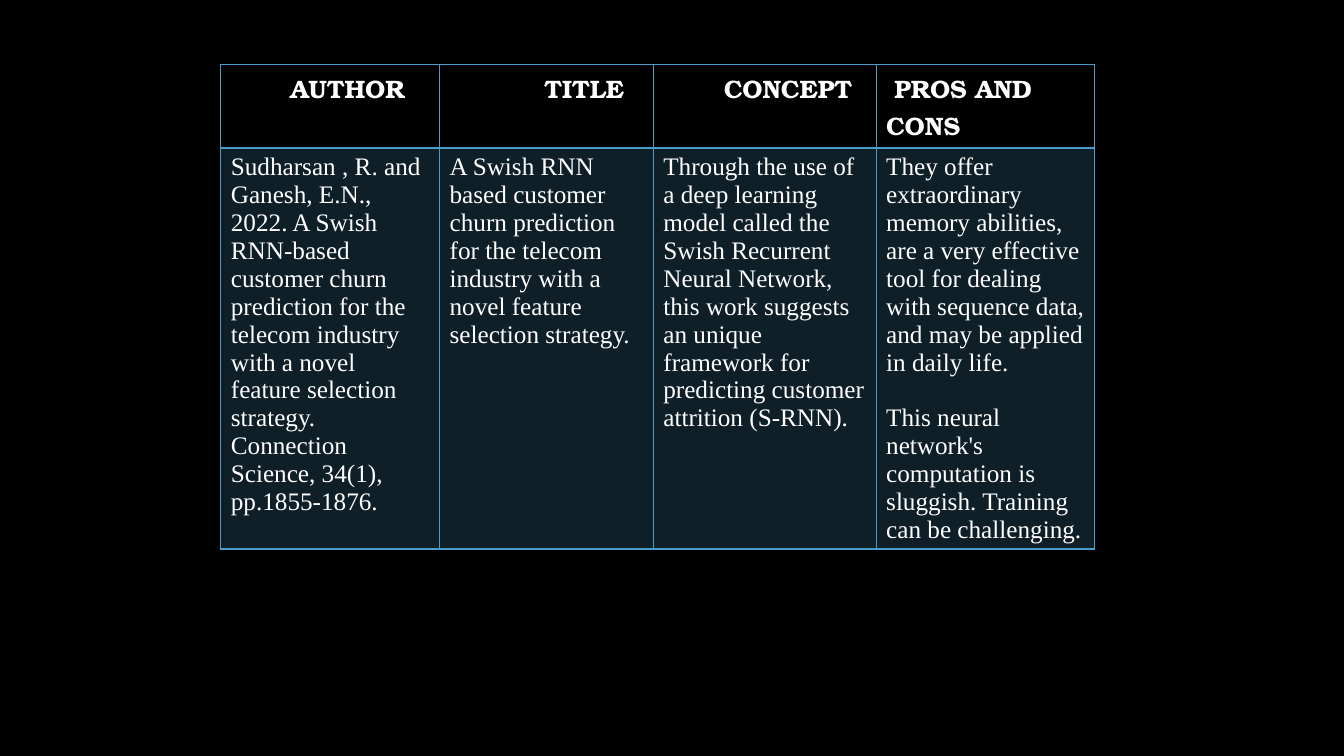
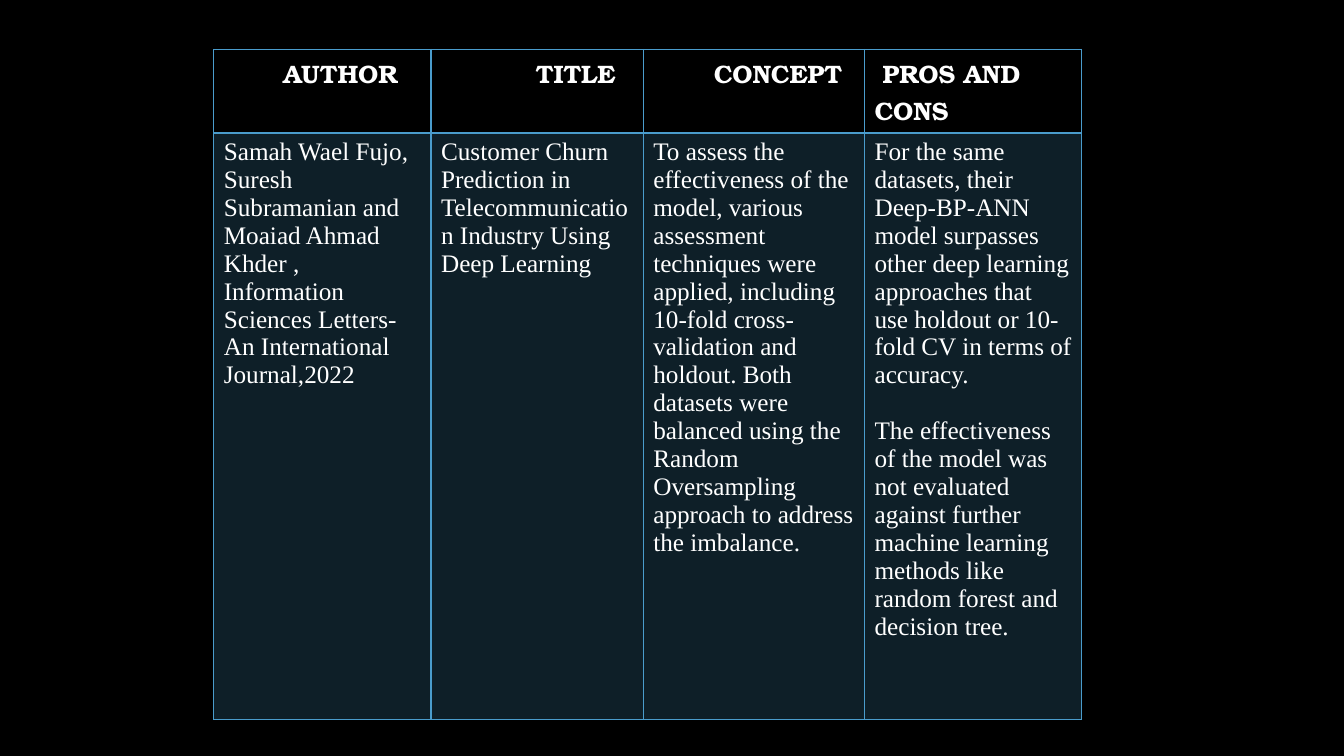
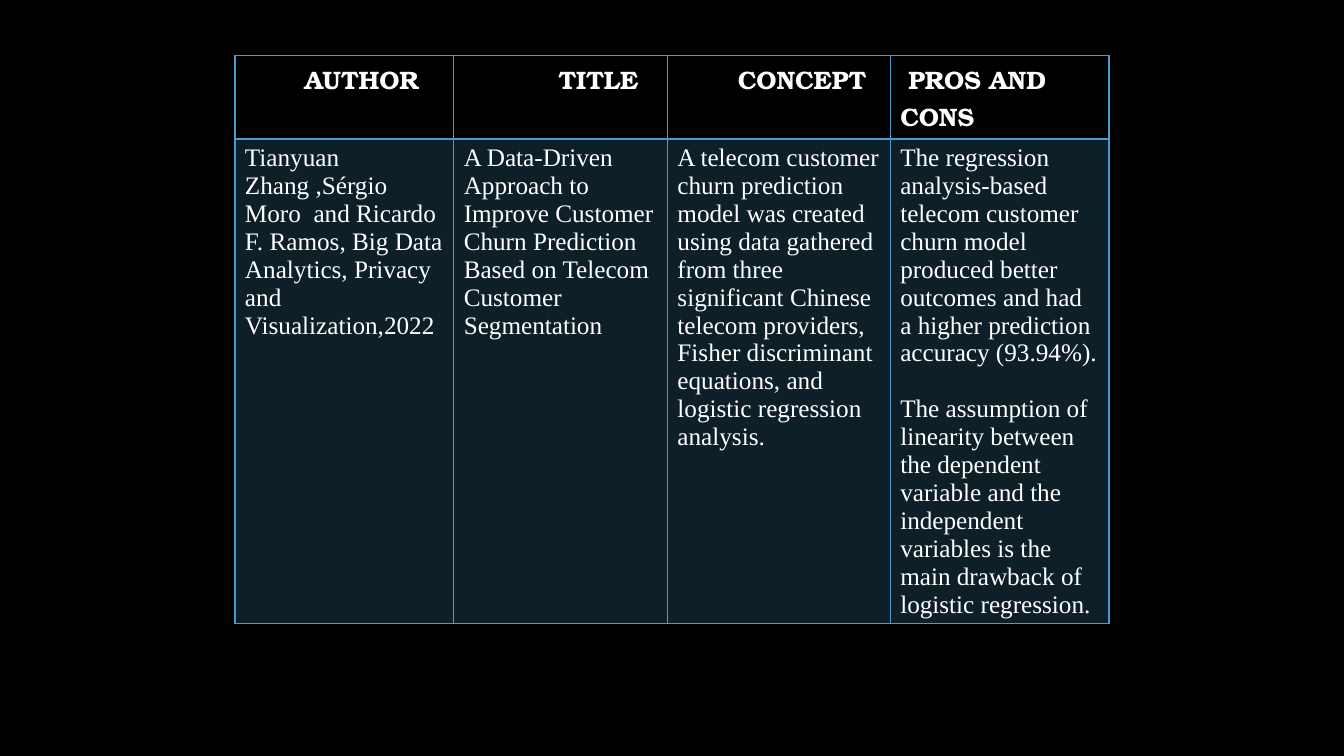
from lxml import etree
from pptx import Presentation
from pptx import util as u
from pptx.dml.color import RGBColor
from pptx.oxml.ns import qn

COLOURS = {"background": "000000", "text": "FFFFFF", "accent": "4A9CCC"}
HEADING_FONT, BODY_FONT = "TeX Gyre Bonum", "Times New Roman"
TEXT_SIZE = u.Pt(18)
PARAGRAPH_GAP = u.Pt(20)
BODY_OPACITY = 20  # per cent
THIN, THICK = 1, 2  # border widths in points

# Heading, first-line indent in inches, column width as a share of the table
COLUMNS = [
    ("AUTHOR", 0.59, 2.17 / 8.67),
    ("TITLE", 0.94, 2.12 / 8.67),
    ("CONCEPT", 0.6, 2.21 / 8.67),
    ("PROS AND CONS", 0.08, 2.17 / 8.67),
]
HEADER_HEIGHT = 0.83

# Each study: table box (left, top, width, height) and one list of paragraphs per column
STUDIES = [
    ((2.19, 0.64, 8.67, 4.8), [
        ["Sudharsan , R. and Ganesh, E.N., 2022. A Swish RNN-based customer churn "
         "prediction for the telecom industry with a novel feature selection strategy. "
         "Connection Science, 34(1), pp.1855-1876."],
        ["A Swish RNN based customer churn prediction for the telecom industry with a "
         "novel feature selection strategy."],
        ["Through the use of a deep learning model called the Swish Recurrent Neural "
         "Network, this work suggests an unique framework for predicting customer "
         "attrition (S-RNN)."],
        ["They offer extraordinary memory abilities, are a very effective tool for "
         "dealing with sequence data, and may be applied in daily life.",
         "This neural network's computation is sluggish. Training can be challenging."],
    ]),
    ((2.12, 0.49, 8.61, 6.65), [
        ["Samah Wael Fujo, Suresh Subramanian and Moaiad Ahmad Khder , Information "
         "Sciences Letters- An International Journal,2022"],
        ["Customer Churn Prediction in Telecommunication Industry Using Deep Learning"],
        ["To assess the effectiveness of the model, various assessment techniques were "
         "applied, including 10-fold cross-validation and holdout. Both datasets were "
         "balanced using the Random Oversampling approach to address the imbalance."],
        ["For the same datasets, their Deep-BP-ANN model surpasses other deep learning "
         "approaches that use holdout or 10-fold CV in terms of accuracy.",
         "The effectiveness of the model was not evaluated against further machine "
         "learning methods like random forest and decision tree."],
    ]),
    ((2.33, 0.55, 8.67, 5.63), [
        ["Tianyuan Zhang ,Sérgio Moro  and Ricardo F. Ramos, Big Data Analytics, "
         "Privacy and Visualization,2022"],
        ["A Data-Driven Approach to Improve Customer Churn Prediction Based on Telecom "
         "Customer Segmentation"],
        ["A telecom customer churn prediction model was created using data gathered from "
         "three significant Chinese telecom providers, Fisher discriminant equations, "
         "and logistic regression analysis."],
        ["The regression analysis-based telecom customer churn model produced better "
         "outcomes and had a higher prediction accuracy (93.94%).",
         "The assumption of linearity between the dependent variable and the independent "
         "variables is the main drawback of logistic regression."],
    ]),
]


def colour(name):
    return RGBColor.from_string(COLOURS[name])


def set_borders(cell, **widths):
    """Draw the four cell borders; widths are points for L, R, T and B."""
    properties = cell._tc.get_or_add_tcPr()
    for position, side in enumerate("LRTB"):
        line = etree.Element(qn(f"a:ln{side}"), w=str(u.Pt(widths.get(side, THIN))))
        fill = etree.SubElement(line, qn("a:solidFill"))
        etree.SubElement(fill, qn("a:srgbClr"), val=COLOURS["accent"])
        properties.insert(position, line)


def fill_cell(cell, name, opacity=100):
    cell.fill.solid()
    cell.fill.fore_color.rgb = colour(name)
    if opacity < 100:
        tint = cell._tc.tcPr.find(".//" + qn("a:srgbClr"))
        etree.SubElement(tint, qn("a:alpha"), val=str(opacity * 1000))


def write_cell(cell, paragraphs, font_name, bold=False, indent=0):
    cell.text = "\n".join(paragraphs)
    for number, paragraph in enumerate(cell.text_frame.paragraphs):
        font = paragraph.font
        font.name, font.size, font.bold = font_name, TEXT_SIZE, bold
        font.color.rgb = colour("text")
        if number:
            paragraph.space_before = PARAGRAPH_GAP
        if indent:
            paragraph._p.get_or_add_pPr().set("indent", str(u.Inches(indent)))


def add_study_table(slide, box, entries):
    left, top, width, height = box
    table = slide.shapes.add_table(2, len(COLUMNS), *map(u.Inches, box)).table
    table.first_row = table.horz_banding = False
    table.rows[0].height = u.Inches(HEADER_HEIGHT)
    table.rows[1].height = u.Inches(height - HEADER_HEIGHT)

    for index, ((heading, indent, share), paragraphs) in enumerate(zip(COLUMNS, entries)):
        table.columns[index].width = u.Inches(width * share)
        # Heading
        header = table.cell(0, index)
        write_cell(header, [heading], HEADING_FONT, bold=True, indent=indent)
        fill_cell(header, "background")
        set_borders(header, B=THICK)
        # Study details
        body = table.cell(1, index)
        write_cell(body, paragraphs, BODY_FONT)
        fill_cell(body, "accent", BODY_OPACITY)
        set_borders(body, T=THICK)


def main():
    presentation = Presentation()
    presentation.slide_width, presentation.slide_height = u.Inches(13.33), u.Inches(7.5)
    background = presentation.slide_master.background.fill
    background.solid()
    background.fore_color.rgb = colour("background")

    blank_layout = presentation.slide_layouts[6]
    for box, entries in STUDIES:
        add_study_table(presentation.slides.add_slide(blank_layout), box, entries)
    presentation.save("out.pptx")


if __name__ == "__main__":
    main()
